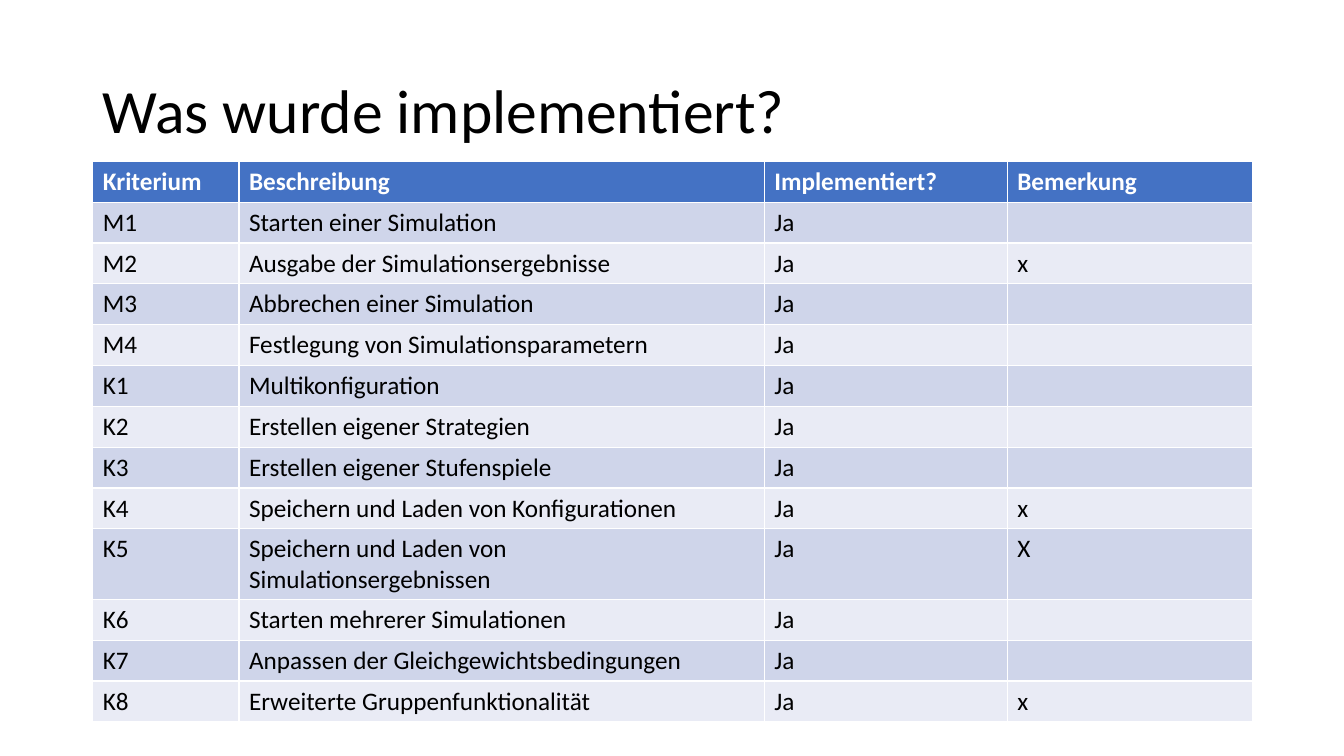
from pptx import Presentation
from pptx.dml.color import RGBColor
from pptx.enum import text
from pptx.util import Inches, Pt

COLORS = {
    "header": "4472C4",
    "odd_row": "CFD5EA",
    "even_row": "E9EBF5",
    "header_text": "FFFFFF",
    "text": "000000",
}
FONT = "Calibri"
HEADINGS = ("Kriterium", "Beschreibung", "Implementiert?", "Bemerkung")
COLUMN_WIDTHS = (1.45, 5.21, 2.41, 2.43)
CRITERIA = [
    ("M1", "Starten einer Simulation", "Ja", ""),
    ("M2", "Ausgabe der Simulationsergebnisse", "Ja", "x"),
    ("M3", "Abbrechen einer Simulation", "Ja", ""),
    ("M4", "Festlegung von Simulationsparametern", "Ja", ""),
    ("K1", "Multikonfiguration", "Ja", ""),
    ("K2", "Erstellen eigener Strategien", "Ja", ""),
    ("K3", "Erstellen eigener Stufenspiele", "Ja", ""),
    ("K4", "Speichern und Laden von Konfigurationen", "Ja", "x"),
    ("K5", "Speichern und Laden von Simulationsergebnissen", "Ja", "X"),
    ("K6", "Starten mehrerer Simulationen", "Ja", ""),
    ("K7", "Anpassen der Gleichgewichtsbedingungen", "Ja", ""),
    ("K8", "Erweiterte Gruppenfunktionalität", "Ja", "x"),
]


def set_font(paragraph, size, color, bold=False):
    font = paragraph.font
    font.name = FONT
    font.size = Pt(size)
    font.bold = bold
    font.color.rgb = RGBColor.from_string(COLORS[color])


def add_title(slide, wording):
    title = slide.shapes.add_textbox(Inches(0.92), Inches(0.4), Inches(11.5), Inches(1.45))
    frame = title.text_frame
    frame.word_wrap = True
    frame.vertical_anchor = text.MSO_ANCHOR.MIDDLE
    paragraph = frame.paragraphs[0]
    paragraph.text = wording
    paragraph.line_spacing = 0.9
    set_font(paragraph, 44, "text")


def fill_cell(cell, wording, fill, color, bold):
    cell.fill.solid()
    cell.fill.fore_color.rgb = RGBColor.from_string(COLORS[fill])
    paragraph = cell.text_frame.paragraphs[0]
    if wording:
        paragraph.text = wording
    set_font(paragraph, 18, color, bold)


def add_criteria_table(slide):
    rows = [HEADINGS, *CRITERIA]
    criteria = slide.shapes.add_table(
        len(rows), len(HEADINGS), Inches(0.92), Inches(1.6), Inches(11.5), Inches(5.27)
    ).table
    for column, width in zip(criteria.columns, COLUMN_WIDTHS):
        column.width = Inches(width)
    for row_index, row in enumerate(rows):
        is_header = row_index == 0
        band = "odd_row" if row_index % 2 else "even_row"
        fill = "header" if is_header else band
        color = "header_text" if is_header else "text"
        for column_index, wording in enumerate(row):
            fill_cell(criteria.cell(row_index, column_index), wording, fill, color, is_header)


def main():
    presentation = Presentation()
    presentation.slide_width = Inches(13.33)
    presentation.slide_height = Inches(7.5)
    slide = presentation.slides.add_slide(presentation.slide_layouts[6])
    add_title(slide, "Was wurde implementiert?")
    add_criteria_table(slide)
    presentation.save("out.pptx")


if __name__ == "__main__":
    main()
